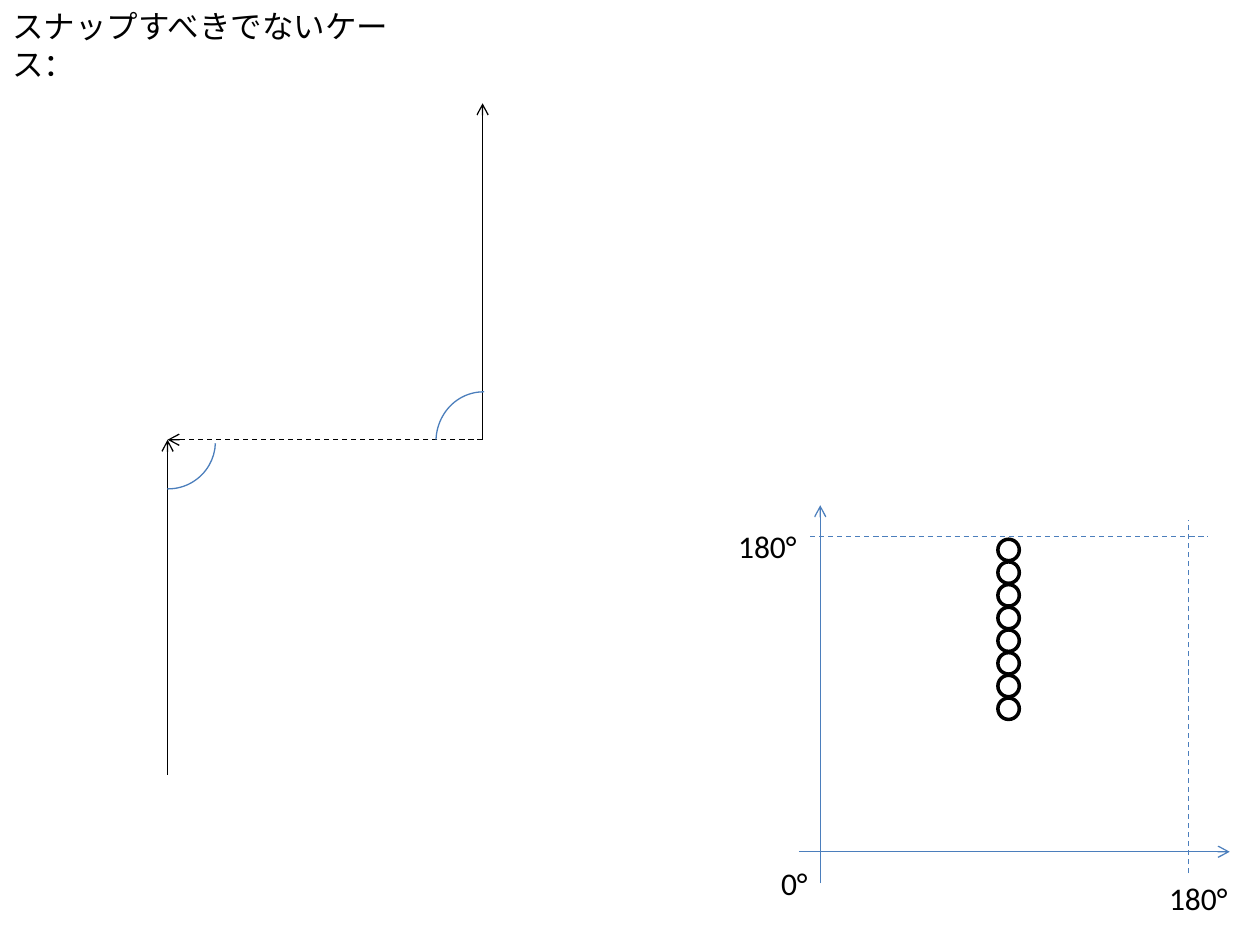
"""Builds a slide on edges that must not snap, with their angle plot."""
from dataclasses import dataclass

from lxml.etree import SubElement
from pptx import Presentation
from pptx.dml.color import RGBColor
from pptx.enum.dml import MSO_LINE
from pptx.enum.shapes import MSO_CONNECTOR, MSO_SHAPE
from pptx.enum.text import MSO_AUTO_SIZE
from pptx.oxml.ns import qn
from pptx.util import Inches, Pt


@dataclass(frozen=True)
class Theme:
    font: str = "Calibri"
    size: float = 18
    black: RGBColor = RGBColor(0, 0, 0)
    white: RGBColor = RGBColor(255, 255, 255)
    blue: RGBColor = RGBColor(0x4B, 0x7E, 0xBC)
    thin: float = 0.75
    thick: float = 2


THEME = Theme()


def add_text(shapes, text, left, top, width, height=0.4, size=THEME.size, color=THEME.black):
    tf = shapes.add_textbox(*map(Inches, (left, top, width, height))).text_frame
    tf.word_wrap = True
    tf.auto_size = MSO_AUTO_SIZE.SHAPE_TO_FIT_TEXT
    r = tf.paragraphs[0].add_run()
    r.text = text
    r.font.name, r.font.size = THEME.font, Pt(size)
    r.font.color.rgb = color


def add_line(shapes, start, end, color=THEME.black, arrow=False, dash=False):
    cxn = shapes.add_connector(MSO_CONNECTOR.STRAIGHT, *map(Inches, (*start, *end)))
    cxn.line.color.rgb = color
    cxn.line.width = Pt(THEME.thin)
    if dash:
        cxn.line.dash_style = MSO_LINE.DASH
    if arrow:
        SubElement(cxn.line._get_or_add_ln(), qn("a:tailEnd"), type="arrow")
    SubElement(cxn._element.spPr, qn("a:effectLst"))


def add_outline(shapes, kind, left, top, width, height, color, weight, fill=None):
    sp = shapes.add_shape(kind, *map(Inches, (left, top, width, height)))
    sp.shadow.inherit = False
    sp.line.color.rgb = color
    sp.line.width = Pt(weight)
    if fill is None:
        sp.fill.background()
    else:
        sp.fill.solid()
        sp.fill.fore_color.rgb = fill
    return sp


def add_angle(shapes, left, top, width, height, start, rotation=0):
    sp = add_outline(shapes, MSO_SHAPE.ARC, left, top, width, height, THEME.blue, THEME.thin)
    sp.adjustments[0], sp.adjustments[1] = start, 54.61
    sp.rotation = rotation


def add_edges(shapes):
    lower, upper = (1.33, 3.49), (3.83, 3.49)
    add_line(shapes, (1.33, 6.15), lower, arrow=True)
    add_line(shapes, upper, (3.83, 0.82), arrow=True)
    add_line(shapes, upper, lower, arrow=True, dash=True)
    add_angle(shapes, 3.46, 3.11, 0.75, 0.79, 1.47, rotation=180)
    add_angle(shapes, 0.96, 3.13, 0.75, 0.75, 1.22)


def add_axes(shapes):
    add_line(shapes, (6.34, 6.76), (9.76, 6.76), THEME.blue, arrow=True)
    add_line(shapes, (6.51, 7.01), (6.51, 4.01), THEME.blue, arrow=True)
    add_line(shapes, (6.43, 4.26), (9.59, 4.26), THEME.blue, dash=True)
    add_line(shapes, (9.43, 6.93), (9.43, 4.13), THEME.blue, dash=True)
    add_text(shapes, "180°", 9.18, 6.93, 0.84)
    add_text(shapes, "180°", 5.76, 4.13, 0.84)
    add_text(shapes, "0°", 6.1, 6.81, 0.58)


def add_points(shapes, count=8, bottom=5.54, step=0.18, size=0.17):
    for i in range(count):
        add_outline(shapes, MSO_SHAPE.OVAL, 7.92, bottom - i * step, size, size,
                    THEME.black, THEME.thick, THEME.white)


def main():
    prs = Presentation()
    prs.slide_width, prs.slide_height = Inches(10), Inches(7.5)
    shapes = prs.slides.add_slide(prs.slide_layouts[6]).shapes
    add_text(shapes, "スナップすべきでないケース：", 0, 0.01, 3.31)
    add_edges(shapes)
    add_axes(shapes.add_group_shape().shapes)
    add_points(shapes)
    prs.save("out.pptx")


if __name__ == "__main__":
    main()
